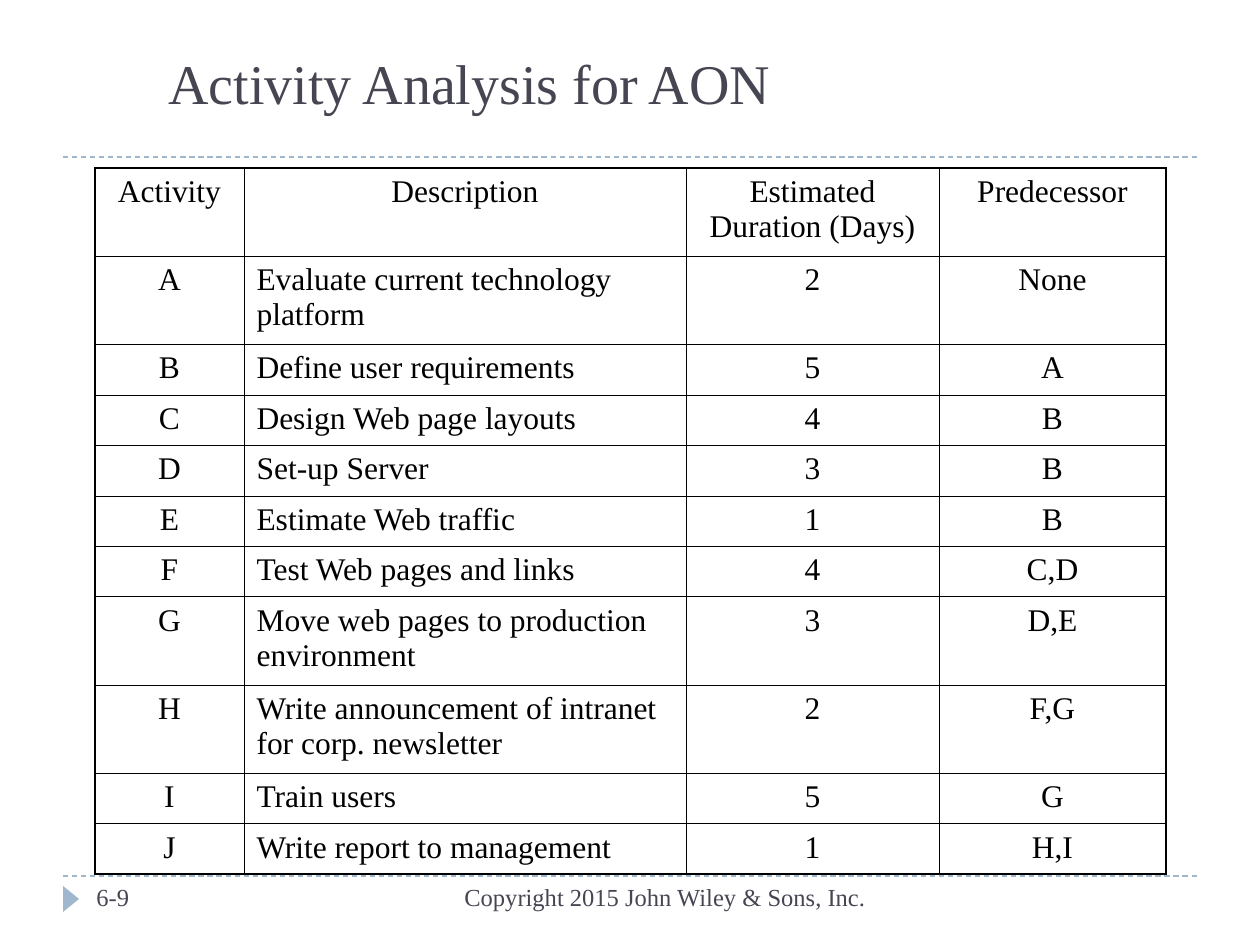
import pptx
import pptx.util
import pptx.dml.color
import pptx.enum.dml
import pptx.enum.shapes
import pptx.enum.text
import pptx.oxml.ns
from lxml import etree

FONT = "Times New Roman"
INK, BLACK, BLUE = "464653", "000000", "9FB8CD"
ALIGN = pptx.enum.text.PP_ALIGN
ANCHOR = pptx.enum.text.MSO_ANCHOR

COLS = [149, 442, 253, 227]
TALL, SHORT = 7, 4  # row heights, as shares of the table height
ROWS = [
    (TALL, "Activity", "Description", "Estimated Duration (Days)", "Predecessor"),
    (TALL, "A", "Evaluate current technology platform", "2", "None"),
    (SHORT, "B", "Define user requirements", "5", "A"),
    (SHORT, "C", "Design Web page layouts", "4", "B"),
    (SHORT, "D", "Set-up Server", "3", "B"),
    (SHORT, "E", "Estimate Web traffic", "1", "B"),
    (SHORT, "F", "Test Web pages and links", "4", "C,D"),
    (TALL, "G", "Move web pages to production environment", "3", "D,E"),
    (TALL, "H", "Write announcement of intranet for corp. newsletter", "2", "F,G"),
    (SHORT, "I", "Train users", "5", "G"),
    (SHORT, "J", "Write report to management", "1", "H,I"),
]


def px(n):
    return pptx.util.Emu(round(n * 914400 / 126))


def paint(hue):
    return pptx.dml.color.RGBColor.from_string(hue)


def write(frame, text, size, hue, align):
    para = frame.paragraphs[0]
    para.text = text
    para.alignment = align
    para.font.name = FONT
    para.font.size = pptx.util.Pt(size)
    para.font.color.rgb = paint(hue)


def label(slide, text, x, y, w, h, size, align=ALIGN.LEFT, anchor=ANCHOR.TOP):
    frame = slide.shapes.add_textbox(px(x), px(y), px(w), px(h)).text_frame
    frame.word_wrap = True
    frame.vertical_anchor = anchor
    write(frame, text, size, INK, align)


def rule(slide, y):
    kind = pptx.enum.shapes.MSO_CONNECTOR.STRAIGHT
    line = slide.shapes.add_connector(kind, px(63), px(y), px(1197), px(y))
    line.line.color.rgb = paint(BLUE)
    line.line.width = pptx.util.Pt(0.75)
    line.line.dash_style = pptx.enum.dml.MSO_LINE.DASH
    etree.SubElement(line._element.spPr, pptx.oxml.ns.qn("a:effectLst"))


def arrow(slide, x, y, w, h):
    kind = pptx.enum.shapes.MSO_SHAPE.ISOSCELES_TRIANGLE
    mark = slide.shapes.add_shape(kind, px(x), px(y), px(w), px(h))
    mark.rotation = 90
    mark.shadow.inherit = False
    mark.fill.solid()
    mark.fill.fore_color.rgb = paint(BLUE)
    mark.line.fill.background()


def border(cell, side, width):
    qn = pptx.oxml.ns.qn
    edge = etree.SubElement(cell._tc.get_or_add_tcPr(), qn("a:ln" + side),
                            w=str(pptx.util.Pt(width)))
    fill = etree.SubElement(edge, qn("a:solidFill"))
    etree.SubElement(fill, qn("a:srgbClr"), val=BLACK)


def grid(slide, x, y, h):
    table = slide.shapes.add_table(len(ROWS), len(COLS), px(x), px(y),
                                   px(sum(COLS)), px(h)).table
    table.first_row = table.horz_banding = False
    for col, width in zip(table.columns, COLS):
        col.width = px(width)
    total = sum(row[0] for row in ROWS)
    for r, (share, *texts) in enumerate(ROWS):
        table.rows[r].height = px(h * share / total)
        for c, text in enumerate(texts):
            cell = table.cell(r, c)
            # The outer frame is heavier than the inner lines
            outer = {"L": c == 0, "R": c == len(COLS) - 1,
                     "T": r == 0, "B": r == len(ROWS) - 1}
            for side, heavy in outer.items():
                border(cell, side, 1.08 if heavy else 0.45)
            cell.fill.background()
            left = c == 1 and r > 0
            write(cell.text_frame, text, 18, BLACK,
                  ALIGN.LEFT if left else ALIGN.CENTER)


def main():
    deck = pptx.Presentation()
    deck.slide_width, deck.slide_height = px(1260), px(945)
    slide = deck.slides.add_slide(deck.slide_layouts[6])

    # Rules and footer marker
    rule(slide, 876)
    rule(slide, 157)
    arrow(slide, 58, 891, 26, 16)

    # Title and activity table
    label(slide, "Activity Analysis for AON", 156, 19, 931, 103, 32,
          anchor=ANCHOR.BOTTOM)
    grid(slide, 95, 168, 706)

    # Footer
    label(slide, "6-9", 84, 876, 273, 50, 14)
    label(slide, "Copyright 2015 John Wiley & Sons, Inc.", 399, 876, 479, 50, 14,
          ALIGN.RIGHT)

    deck.save("out.pptx")


if __name__ == "__main__":
    main()
